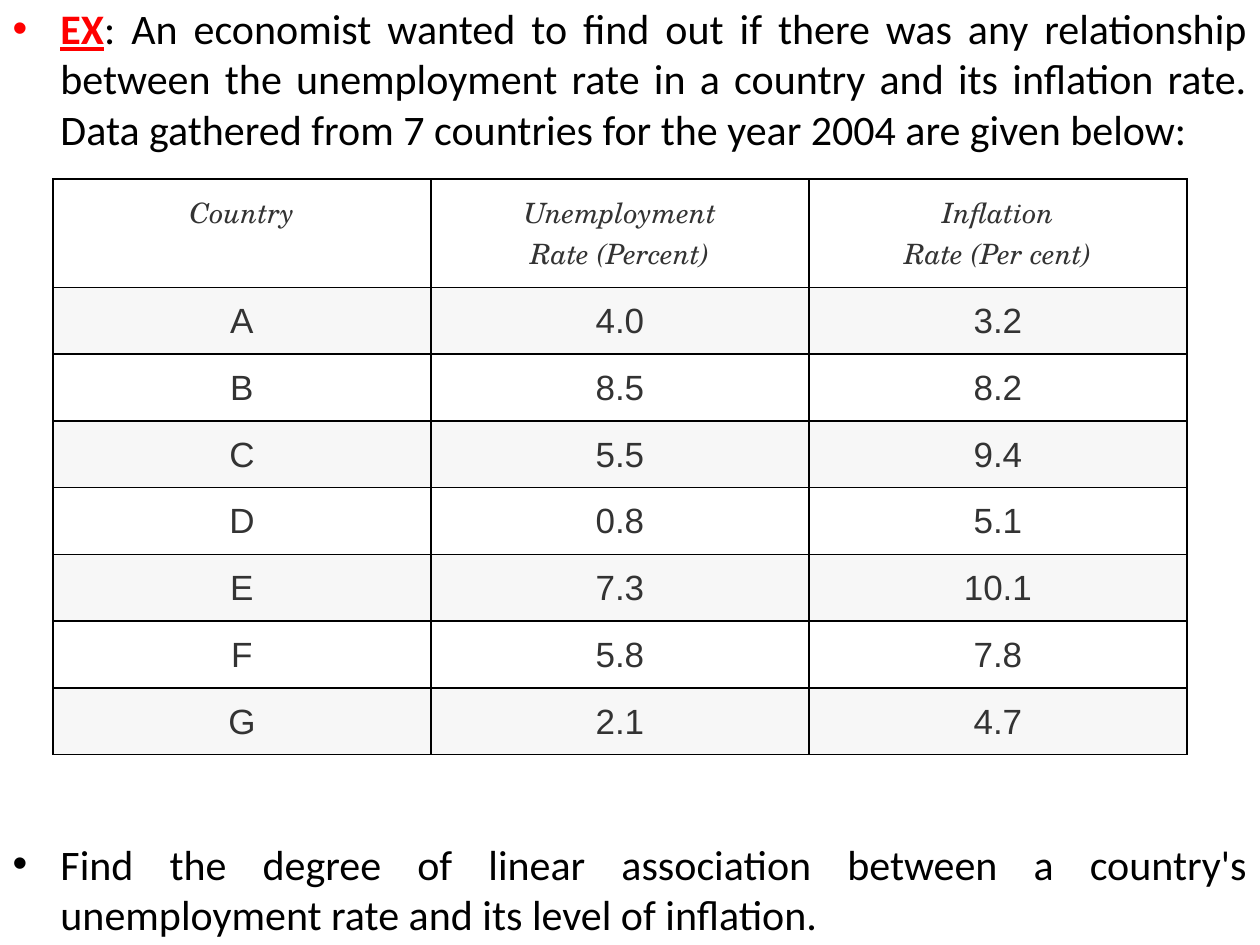
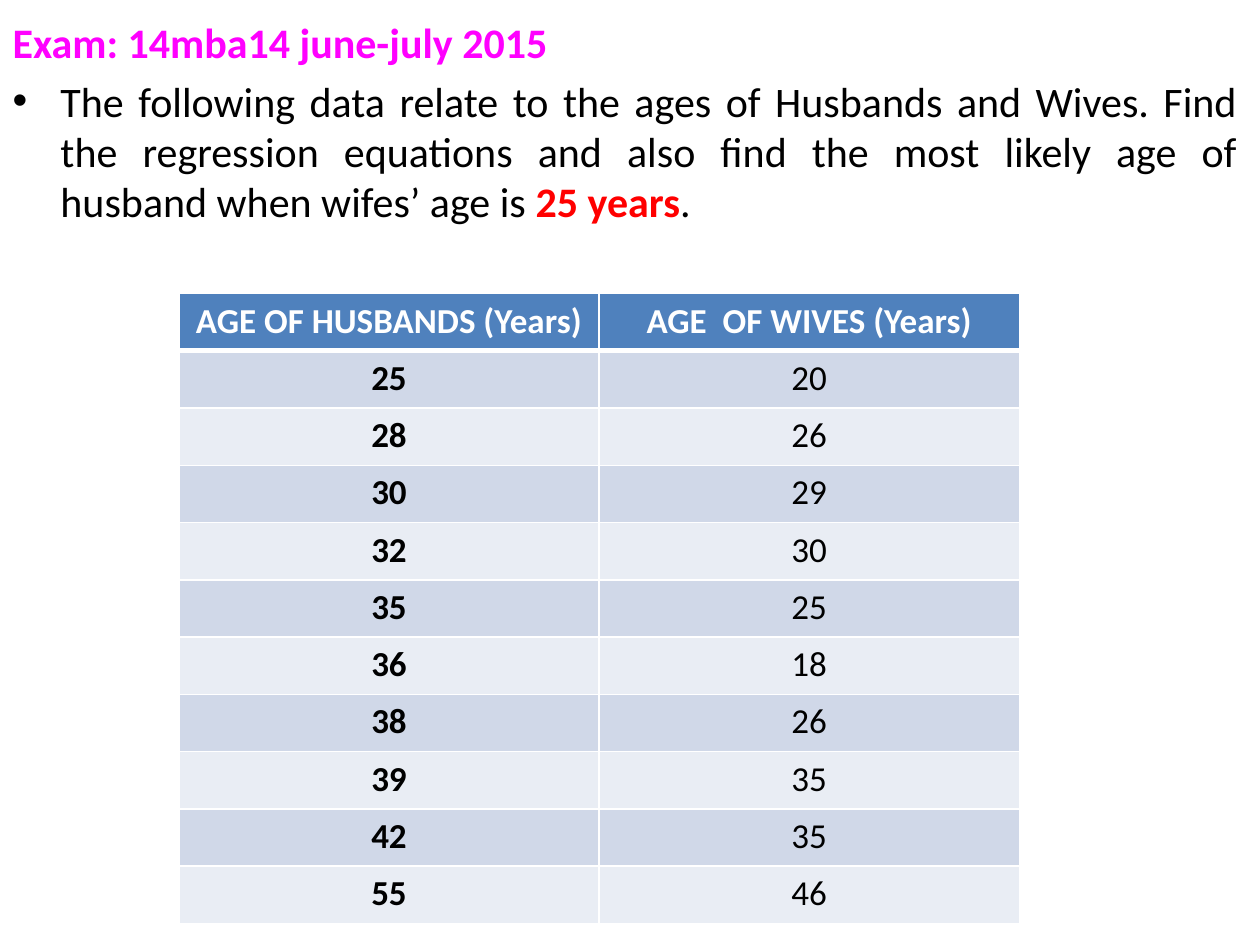
from lxml.etree import SubElement
from pptx import Presentation
from pptx.dml.color import RGBColor as RGB
from pptx.enum.text import MSO_ANCHOR as ANCHOR, MSO_AUTO_SIZE as AUTO, PP_ALIGN as ALIGN
from pptx.oxml import parse_xml
from pptx.oxml.ns import nsdecls, qn
from pptx.util import Inches, Pt

COLORS = {
    "black": "000000", "white": "FFFFFF", "red": "FF0000", "magenta": "FF00FF",
    "grey_text": "333333", "grey_band": "F7F7F7",
    "blue": "4F81BD", "blue_band": "D0D8E8", "pale_band": "E9EDF4",
}
FONT = "Calibri"
BODY = {"name": FONT, "size": Pt(24), "bold": False, "color": "black"}


def add_run(p, text, fmt):
    for i, line in enumerate(text.split("\n")):
        if i:
            p.add_line_break()
        r = p.add_run()
        r.text = line
        for key, value in fmt.items():
            if key == "color":
                r.font.color.rgb = RGB.from_string(COLORS[value])
            else:
                setattr(r.font, key, value)


def add_grid(s, box, heights, rows, look):
    table = s.shapes.add_table(len(rows), len(rows[0]), *map(Inches, box)).table
    table.horz_banding = False
    for i, row in enumerate(rows):
        table.rows[i].height = Inches(heights[min(i, 1)])
        for j, text in enumerate(row):
            cell = table.cell(i, j)
            cell.vertical_anchor = ANCHOR.TOP
            cell.margin_left = cell.margin_right = Inches(0.1)
            cell.margin_top = cell.margin_bottom = Inches(look["margin"])
            p = cell.text_frame.paragraphs[0]
            p.alignment = ALIGN.CENTER
            p.line_spacing = look["spacing"]
            fmt = look["cell"] if i else look["header"]
            if i and j == 0:
                fmt = {**fmt, **look["first_column"]}
            add_run(p, text, fmt)
            fill = look["bands"][(i - 1) % 2] if i else look["header_fill"]
            cell.fill.solid()
            cell.fill.fore_color.rgb = RGB.from_string(COLORS[fill])
            tcPr = cell._tc.get_or_add_tcPr()
            for n, side in enumerate("LRTB"):
                under_header = (i, side) in ((0, "B"), (1, "T"))
                width = look["rule"] if under_header else Pt(1)
                ln = parse_xml(f'<a:ln{side} {nsdecls("a")} w="{width}"/>')
                solid = SubElement(ln, qn("a:solidFill"))
                SubElement(solid, qn("a:srgbClr"), val=COLORS[look["line"]])
                tcPr.insert(n, ln)


prs = Presentation()
prs.slide_width, prs.slide_height = Inches(10), Inches(7.5)

economy_rows = [
    ("Country", "Unemployment\nRate (Percent)", "Inflation\nRate (Per cent)"),
    ("A", "4.0", "3.2"),
    ("B", "8.5", "8.2"),
    ("C", "5.5", "9.4"),
    ("D", "0.8", "5.1"),
    ("E", "7.3", "10.1"),
    ("F", "5.8", "7.8"),
    ("G", "2.1", "4.7"),
]
economy_look = {
    "margin": 0.1, "spacing": Pt(23.4), "line": "black", "rule": Pt(1),
    "header_fill": "white", "bands": ("grey_band", "white"),
    "header": {"name": "TeX Gyre Schola", "size": Pt(16), "italic": True,
               "bold": False, "color": "grey_text"},
    "cell": {"name": "Arial", "size": Pt(20), "bold": False, "color": "grey_text"},
    "first_column": {},
}

husbands = (25, 28, 30, 32, 35, 36, 38, 39, 42, 55)
wives = (20, 26, 29, 30, 25, 18, 26, 35, 35, 46)
age_rows = [("AGE OF HUSBANDS (Years)", "AGE  OF WIVES (Years)")]
age_rows += [(str(h), str(w)) for h, w in zip(husbands, wives)]
age_look = {
    "margin": 0.05, "spacing": None, "line": "white", "rule": Pt(3),
    "header_fill": "blue", "bands": ("blue_band", "pale_band"),
    "header": {"name": FONT, "size": Pt(20), "bold": True, "color": "white"},
    "cell": {"name": FONT, "size": Pt(20), "bold": False, "color": "black"},
    "first_column": {"bold": True},
}

slides = [
    {
        "body": (0, -0.03, 10, 7.58),
        "paragraphs": [
            (True, 0, [
                ("EX", {"bold": True, "underline": True, "color": "red"}),
                (": An economist wanted to find out if there was any relationship "
                 "between the unemployment rate in a country and its inflation rate. "
                 "Data gathered from 7 countries for the year 2004 are given below:", {}),
            ]),
            (True, 391, [
                ("Find the degree of linear association between a country's "
                 "unemployment rate and its level of inflation.", {}),
            ]),
        ],
        "grid": ((0.42, 1.42, 9, 4.57), (0.86, 0.53), economy_rows, economy_look),
    },
    {
        "body": (0, 0.08, 9.92, 7.42),
        "paragraphs": [
            (False, 0, [
                ("Exam: 14mba14 june-july 2015", {"bold": True, "color": "magenta"}),
            ]),
            (True, 4.8, [
                ("The following data relate to the ages of Husbands and Wives. "
                 "Find the regression equations and also find the most likely age of "
                 "husband when wifes’ age is ", {}),
                ("25 years", {"bold": True, "color": "red"}),
                (".", {}),
            ]),
        ],
        "grid": ((1.42, 2.33, 6.67, 5), (5 / 11, 5 / 11), age_rows, age_look),
    },
]

for content in slides:
    s = prs.slides.add_slide(prs.slide_layouts[1])
    title = s.shapes.title._element
    title.getparent().remove(title)
    body = s.placeholders[1]
    body.left, body.top, body.width, body.height = map(Inches, content["body"])
    tf = body.text_frame
    tf.word_wrap = True
    tf.auto_size = AUTO.NONE
    for n, (bulleted, before, runs) in enumerate(content["paragraphs"]):
        p = tf.add_paragraph() if n else tf.paragraphs[0]
        p.alignment = ALIGN.JUSTIFY
        p.space_before = Pt(before)
        pPr = p._p.get_or_add_pPr()
        indent = Inches(0.38) if bulleted else 0
        pPr.set("marL", str(indent))
        pPr.set("indent", str(-indent))
        if bulleted:
            SubElement(pPr, qn("a:buFont"), typeface="Arial")
            SubElement(pPr, qn("a:buChar"), char="•")
        else:
            SubElement(pPr, qn("a:buNone"))
        for text, fmt in runs:
            add_run(p, text, {**BODY, **fmt})
    add_grid(s, *content["grid"])

prs.save("out.pptx")
